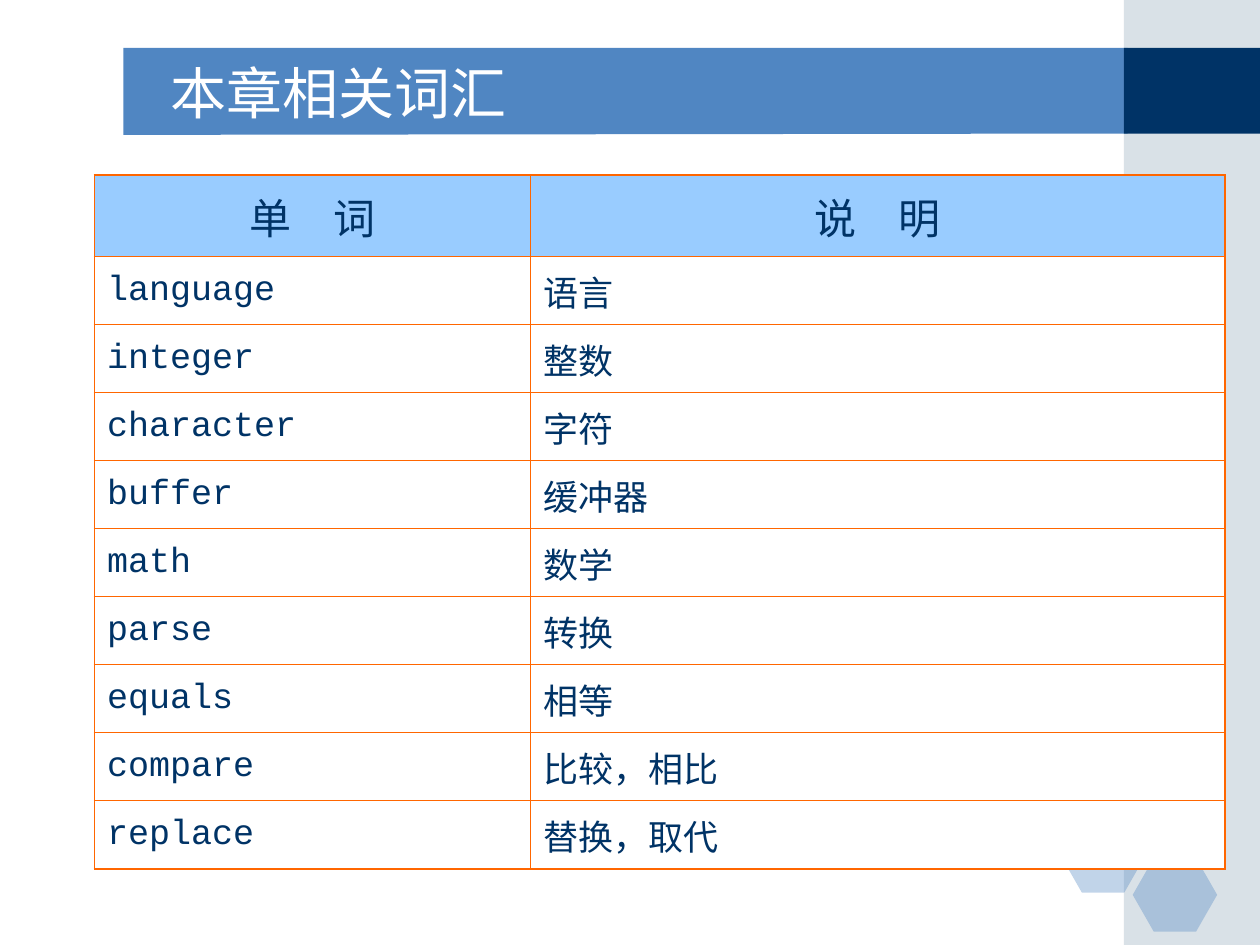
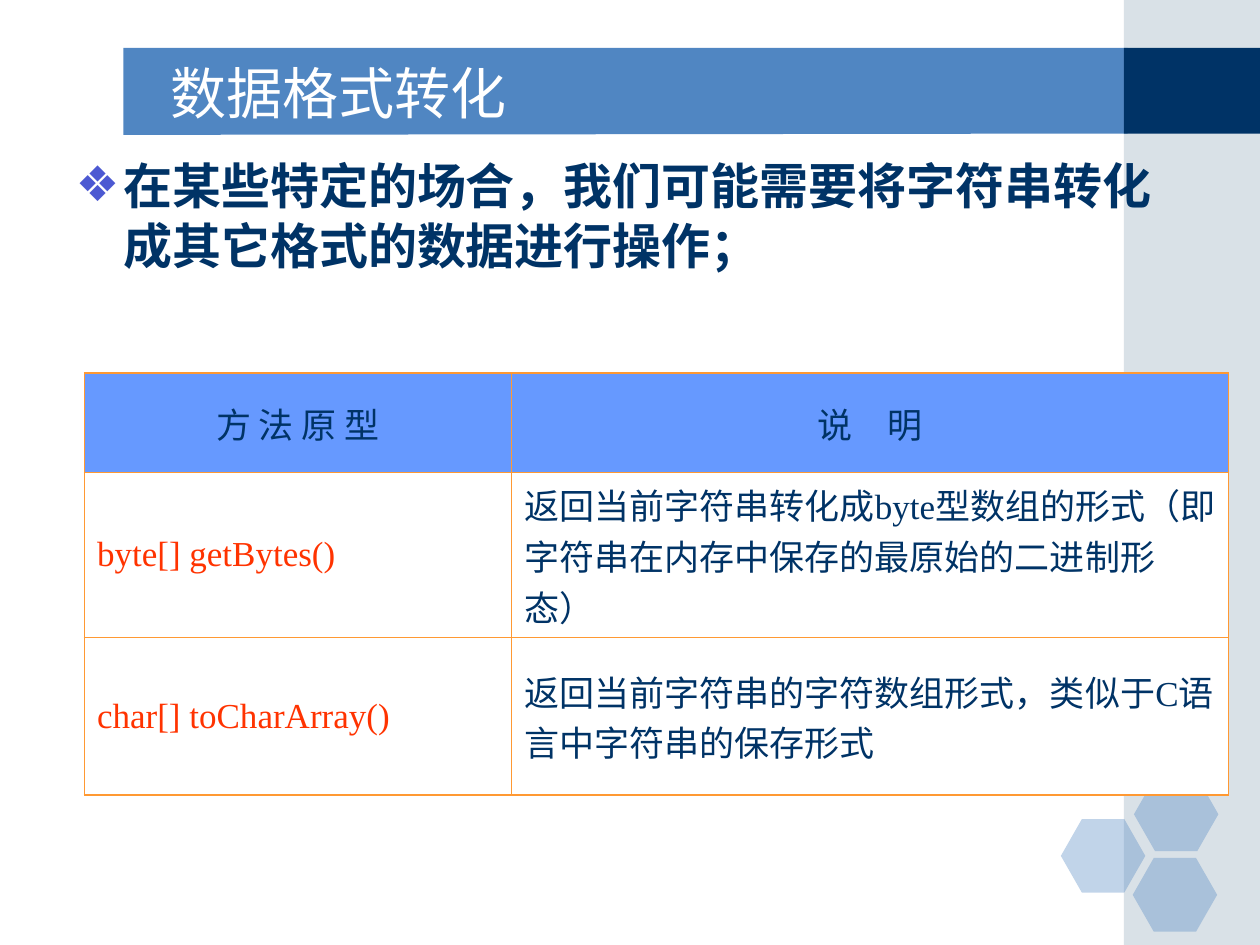
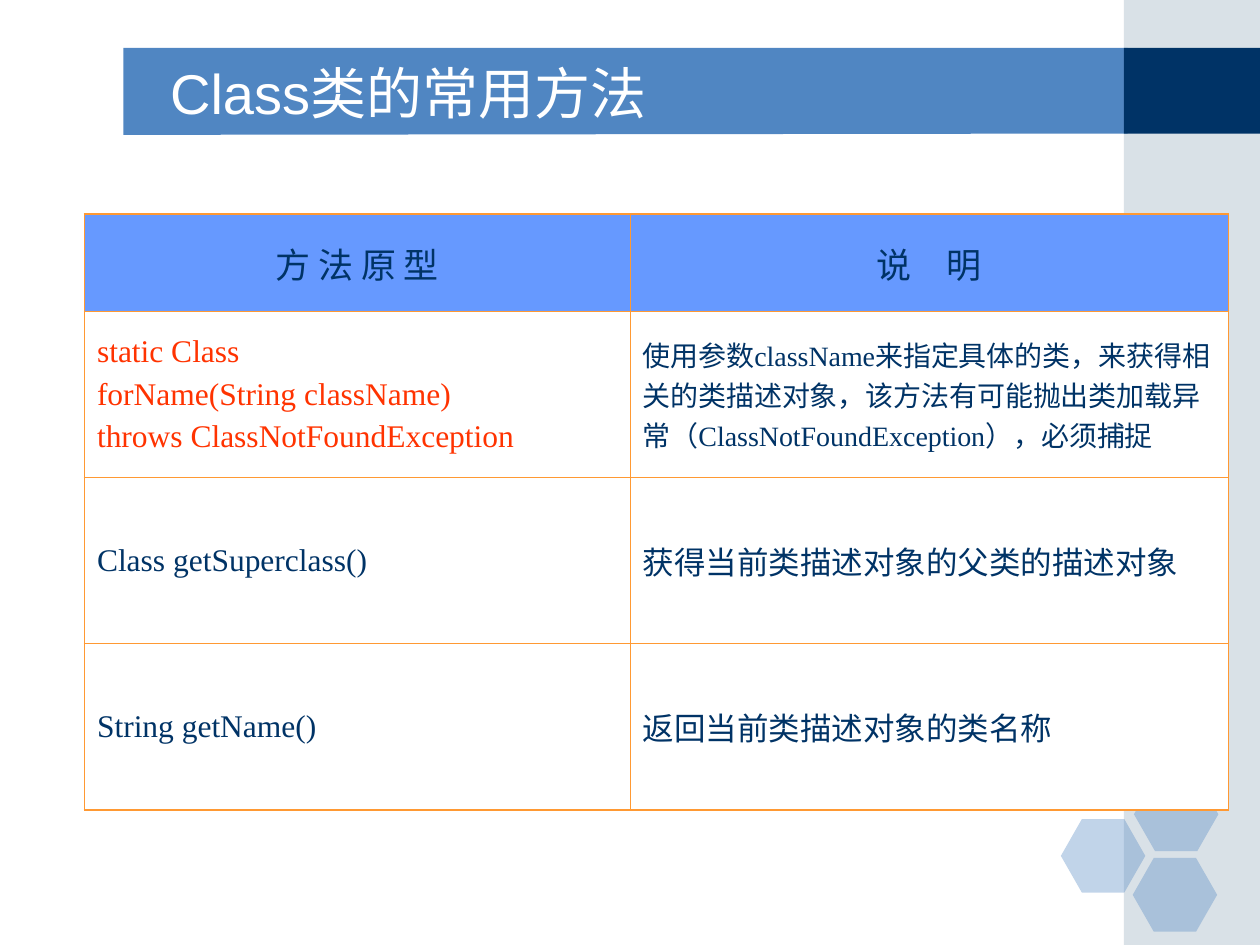
from lxml import etree
from pptx import Presentation
from pptx.dml.color import RGBColor
from pptx.enum.shapes import MSO_SHAPE
from pptx.enum.text import MSO_ANCHOR, MSO_AUTO_SIZE, PP_ALIGN
from pptx.oxml.ns import qn
from pptx.util import Inches, Pt

RECTANGLE, HEXAGON = MSO_SHAPE.RECTANGLE, MSO_SHAPE.HEXAGON
MIDDLE, TOP = MSO_ANCHOR.MIDDLE, MSO_ANCHOR.TOP
LEFT, CENTER = PP_ALIGN.LEFT, PP_ALIGN.CENTER
NO_FIT = MSO_AUTO_SIZE.NONE

SLIDE_WIDTH, SLIDE_HEIGHT = Inches(10), Inches(7.5)
CONTENT_LAYOUT, TITLE_LAYOUT = 1, 5

# Shared colours
NAVY, BLUE, MIST, WHITE = "003366", "5086C2", "A0B5C4", "FFFFFF"
RED, VIOLET = "FF3300", "4C59D2"
OUTER_LINE = 1.08

# Shared text formats
TITLE = {"name": "Arial", "size": 32, "color": WHITE, "bold": False}
POINT = {"name": "Arial", "size": 28, "color": NAVY, "bold": True}
WORD_HEAD = {"name": "Courier New", "size": 24, "color": NAVY}
WORD = {**WORD_HEAD, "size": 20}
METHOD_HEAD = WORD
NOTE = {"name": "Times New Roman", "size": 20, "color": NAVY}
KEY = {**NOTE, "color": RED}
SMALL_NOTE = {**NOTE, "size": 18}
SMALL_KEY = {**KEY, "size": 18}
FINE_NOTE = {**NOTE, "size": 16}

# Table looks
WORD_LOOK = {"head_fill": "99CCFF", "line": "FF6600", "inner": 0.75}
METHOD_LOOK = {"head_fill": "6699FF", "line": "FF9933", "inner": 0.45}

WORDS = [
    ("language", "语言"), ("integer", "整数"), ("character", "字符"),
    ("buffer", "缓冲器"), ("math", "数学"), ("parse", "转换"),
    ("equals", "相等"), ("compare", "比较，相比"), ("replace", "替换，取代"),
]
METHOD_HEADER = [("方 法 原 型", METHOD_HEAD), ("说　明", METHOD_HEAD)]
CONVERSIONS = [
    [("byte[] getBytes()", KEY),
     ("返回当前字符串转化成byte型数组的形式（即字符串在内存中保存的最原始的二进制形态）", NOTE)],
    [("char[] toCharArray()", KEY),
     ("返回当前字符串的字符数组形式，类似于C语言中字符串的保存形式", NOTE)],
]
CLASS_METHODS = [
    [("static Class\nforName(String className)\nthrows ClassNotFoundException", SMALL_KEY),
     ("使用参数className来指定具体的类，来获得相关的类描述对象，该方法有可能抛出类加载"
      "异常（ClassNotFoundException），必须捕捉", FINE_NOTE)],
    [("Class getSuperclass()", SMALL_NOTE), ("获得当前类描述对象的父类的描述对象", SMALL_NOTE)],
    [("String getName()", SMALL_NOTE), ("返回当前类描述对象的类名称", SMALL_NOTE)],
]


# Measures: percentages of the slide's width and height
def across(percent):
    return round(SLIDE_WIDTH * percent / 100)


def down(percent):
    return round(SLIDE_HEIGHT * percent / 100)


def area(left, top, width, height):
    return across(left), down(top), across(width), down(height)


def rgb(hex_color):
    return RGBColor.from_string(hex_color)


# Text
def write(para, text, style):
    span = para.add_run()
    span.text = text
    for key, value in style.items():
        if key == "color":
            span.font.color.rgb = rgb(value)
        else:
            setattr(span.font, key, Pt(value) if key == "size" else value)


def place(box, position, anchor):
    for name, value in zip(("left", "top", "width", "height"), area(*position)):
        setattr(box, name, value)
    frame = box.text_frame
    for name, value in {"word_wrap": True, "auto_size": NO_FIT,
                        "vertical_anchor": anchor}.items():
        setattr(frame, name, value)
    return frame.paragraphs[0]


def add_titled_slide(deck, layout, title):
    page = deck.slides.add_slide(deck.slide_layouts[layout])
    para = place(page.shapes.title, (12.5, 5.6, 73.3, 8.27), MIDDLE)
    para.alignment = LEFT
    write(para, title, TITLE)
    return page


def add_bullet(page, text):
    para = place(page.placeholders[1], (5, 15.73, 90, 76.53), TOP)
    properties = para._p.get_or_add_pPr()
    properties.set("marL", str(Inches(0.38)))
    properties.set("indent", str(-Inches(0.38)))
    color = etree.SubElement(properties, qn("a:buClr"))
    etree.SubElement(color, qn("a:srgbClr"), val=VIOLET)
    etree.SubElement(properties, qn("a:buChar"), char="❖")
    para.space_before = Pt(0)
    para.line_spacing = Pt(34)
    write(para, text, POINT)


# Background
def paint(shape, color, opacity=100):
    shape.shadow.inherit = False
    shape.fill.solid()
    shape.fill.fore_color.rgb = rgb(color)
    shape.line.fill.background()
    if opacity < 100:
        tint = shape.element.spPr.find(f"{qn('a:solidFill')}/{qn('a:srgbClr')}")
        etree.SubElement(tint, qn("a:alpha"), val=str(opacity * 1000))
    return shape


def add_background(deck, page):
    """Draw the shared decoration on a page, then hand it to the slide master."""
    shapes = page.shapes
    outline = shapes.build_freeform(across(9.8), down(5.07))
    outline.add_line_segments([(across(89.5), down(5.07)), (across(89.5), down(14.13)),
                               (across(9.8), down(14.27))], close=True)
    side, corner = [shapes.add_shape(RECTANGLE, *area(89.2, top, 10.8, height))
                    for top, height in ((0, 100), (5.07, 9.07))]
    decoration = [paint(outline.convert_to_shape(), BLUE),
                  paint(side, MIST, 40), paint(corner, NAVY)]
    for left, top in ((84.2, 86.67), (90, 82.27), (89.9, 90.8)):
        hexagon = shapes.add_shape(HEXAGON, *area(left, top, 6.7, 7.8))
        hexagon.adjustments[0] = 0.286
        decoration.append(paint(hexagon, BLUE, 35))
    for number, shape in enumerate(decoration, 101):
        shape.element.nvSpPr.cNvPr.set("id", str(number))
        deck.slide_master.shapes.element.append(shape.element)


# Tables
def draw_borders(cell, color, widths):
    properties = cell._tc.get_or_add_tcPr()
    for index, (side, width) in enumerate(widths.items()):
        line = etree.Element(qn(f"a:ln{side}"), w=str(Pt(width)))
        fill = etree.SubElement(line, qn("a:solidFill"))
        etree.SubElement(fill, qn("a:srgbClr"), val=color)
        properties.insert(index, line)


def fill_cell(cell, text, style, is_head, look):
    cell.vertical_anchor = MIDDLE
    cell.fill.solid()
    cell.fill.fore_color.rgb = rgb(look["head_fill"] if is_head else WHITE)
    frame = cell.text_frame
    for index, line in enumerate(text.split("\n")):
        para = frame.add_paragraph() if index else frame.paragraphs[0]
        para.alignment = CENTER if is_head else LEFT
        if index:
            para.space_before = Pt(style["size"] / 4)
        write(para, line, style)


def add_grid(page, left, top, widths, head_height, row_height, rows, look):
    heights = [head_height] + [row_height] * (len(rows) - 1)
    frame = page.shapes.add_table(len(rows), len(widths),
                                  *area(left, top, sum(widths), sum(heights)))
    table = frame.table
    table.first_row = table.horz_banding = False
    for column, width in zip(table.columns, widths):
        column.width = across(width)
    for row, height in zip(table.rows, heights):
        row.height = down(height)
    last_row, last_column = len(rows) - 1, len(widths) - 1
    for r, row in enumerate(rows):
        for c, (text, style) in enumerate(row):
            cell = table.cell(r, c)
            fill_cell(cell, text, style, r == 0, look)
            edges = {"L": c == 0, "R": c == last_column, "T": r == 0, "B": r == last_row}
            draw_borders(cell, look["line"],
                         {side: OUTER_LINE if outer else look["inner"]
                          for side, outer in edges.items()})


def main():
    deck = Presentation()
    deck.slide_width, deck.slide_height = SLIDE_WIDTH, SLIDE_HEIGHT

    # Vocabulary
    page = add_titled_slide(deck, TITLE_LAYOUT, "本章相关词汇")
    add_background(deck, page)
    word_rows = [[("单　词", WORD_HEAD), ("说　明", WORD_HEAD)]]
    word_rows += [[(text, WORD) for text in pair] for pair in WORDS]
    add_grid(page, 7.5, 18.53, (34.6, 55.1), 8.63, 7.2, word_rows, WORD_LOOK)

    # String conversion
    page = add_titled_slide(deck, CONTENT_LAYOUT, "数据格式转化")
    add_bullet(page, "在某些特定的场合，我们可能需要将字符串转化成其它格式的数据进行操作；")
    add_grid(page, 6.7, 39.47, (33.9, 56.9), 10.53, 16.67,
             [METHOD_HEADER] + CONVERSIONS, METHOD_LOOK)

    # Methods of Class
    page = add_titled_slide(deck, TITLE_LAYOUT, "Class类的常用方法")
    add_grid(page, 6.7, 22.67, (43.3, 47.5), 10.27, 17.6,
             [METHOD_HEADER] + CLASS_METHODS, METHOD_LOOK)

    deck.save("out.pptx")


if __name__ == "__main__":
    main()
